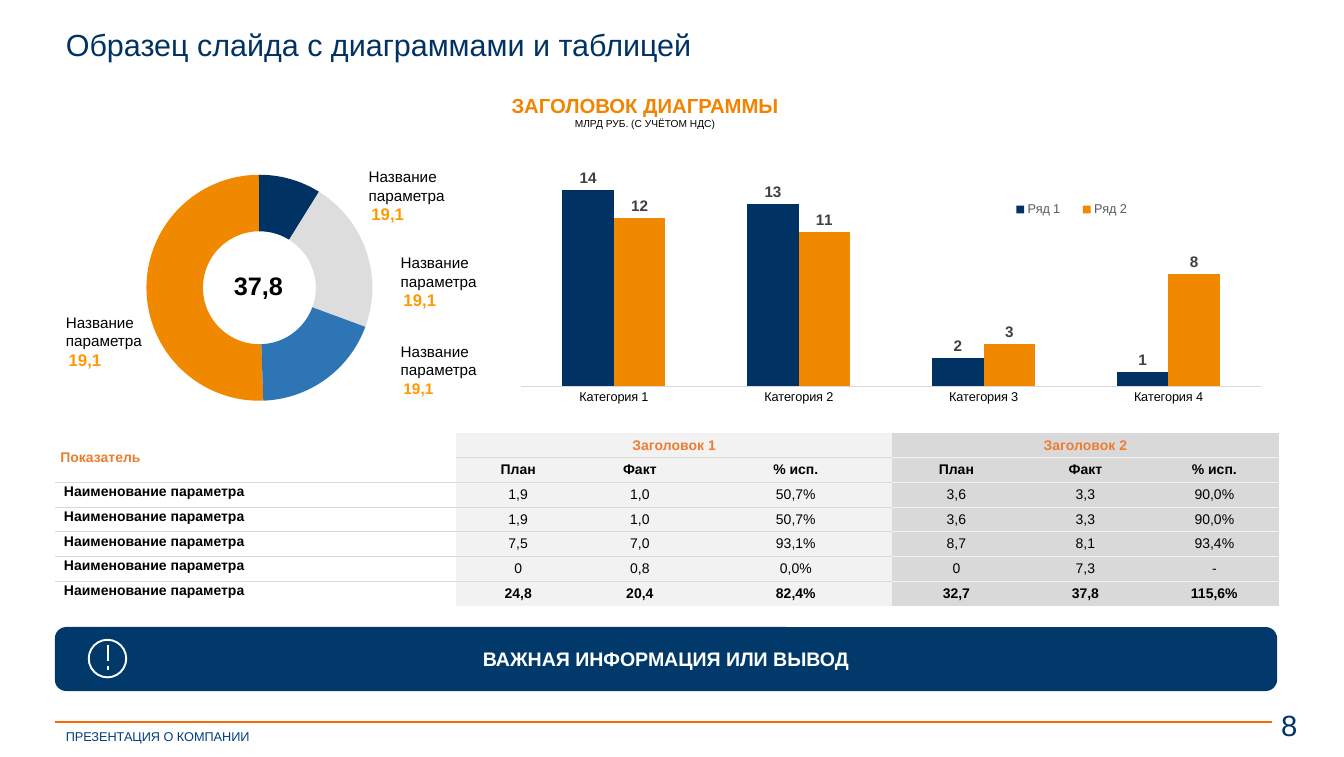
from lxml import etree
from pptx import Presentation
from pptx.chart.data import CategoryChartData
from pptx.dml.color import RGBColor
from pptx.enum.chart import XL_CHART_TYPE, XL_LABEL_POSITION, XL_LEGEND_POSITION, XL_TICK_MARK
from pptx.enum.shapes import MSO_CONNECTOR, MSO_SHAPE
from pptx.enum.text import MSO_ANCHOR, PP_ALIGN
from pptx.oxml.ns import qn
from pptx.util import Emu, Inches, Pt

LEFT, CENTER, RIGHT = PP_ALIGN.LEFT, PP_ALIGN.CENTER, PP_ALIGN.RIGHT
TOP, MIDDLE = MSO_ANCHOR.TOP, MSO_ANCHOR.MIDDLE
COLUMNS, DOUGHNUT = XL_CHART_TYPE.COLUMN_CLUSTERED, XL_CHART_TYPE.DOUGHNUT
STRAIGHT = MSO_CONNECTOR.STRAIGHT

NAVY = RGBColor(0x00, 0x32, 0x64)
BANNER_NAVY = RGBColor(0x00, 0x39, 0x6A)
FOOTER_NAVY = RGBColor(0x00, 0x3D, 0x80)
BLUE = RGBColor(0x2E, 0x75, 0xB6)
ORANGE = RGBColor(0xF0, 0x88, 0x00)
HEADING_ORANGE = RGBColor(0xF1, 0x84, 0x00)
VALUE_ORANGE = RGBColor(0xFF, 0x99, 0x00)
TABLE_ORANGE = RGBColor(0xED, 0x7D, 0x31)
RULE_ORANGE = RGBColor(0xFF, 0x66, 0x00)
SILVER = RGBColor(0xDD, 0xDD, 0xDD)
GREY = RGBColor(0xD9, 0xD9, 0xD9)
PALE = RGBColor(0xF2, 0xF2, 0xF2)
LABEL_GREY = RGBColor(0x40, 0x40, 0x40)
LEGEND_GREY = RGBColor(0x59, 0x59, 0x59)
BLACK = RGBColor(0x00, 0x00, 0x00)
WHITE = RGBColor(0xFF, 0xFF, 0xFF)

FONT = "Arial"
SLIDE_W, SLIDE_H = Inches(14.69), Inches(8.27)
MARGIN, CONTENT_W = 4.08, 90.95
NO_STYLE = "{2D5ABB26-0587-4C30-8999-92F81FD0307C}"

CATEGORIES = ["Категория 1", "Категория 2", "Категория 3", "Категория 4"]
BAR_SERIES = [("Ряд 1", (14, 13, 2, 1), NAVY), ("Ряд 2", (12, 11, 3, 8), ORANGE)]
SLICES = [(51, ORANGE), (9, NAVY), (22, SILVER), (19, BLUE)]
SLICE_LABELS = [(26.55, 21.4, 15.66, 13.2), (28.93, 32.77, 15.66, 13.2),
                (28.93, 44.5, 15.66, 12.1), (4.02, 40.63, 10.82, 13.2)]
COLUMN_WIDTHS = [4.39, 1.35, 1.31, 2.1, 1.41, 1.41, 1.41]
PARAMETER = "Наименование параметра"
TABLE_ROWS = [
    ["Показатель", "Заголовок 1", "", "", "Заголовок 2", "", ""],
    ["", *["План", "Факт", "% исп."] * 2],
    [PARAMETER, "1,9", "1,0", "50,7%", "3,6", "3,3", "90,0%"],
    [PARAMETER, "1,9", "1,0", "50,7%", "3,6", "3,3", "90,0%"],
    [PARAMETER, "7,5", "7,0", "93,1%", "8,7", "8,1", "93,4%"],
    [PARAMETER, "0", "0,8", "0,0%", "0", "7,3", "-"],
    [PARAMETER, "24,8", "20,4", "82,4%", "32,7", "37,8", "115,6%"],
]


def area(*shares):
    """Turn x, y, w, h in percent of the slide into lengths."""
    return [Emu(round(share * side / 100)) for share, side in zip(shares, (SLIDE_W, SLIDE_H) * 2)]


def style_font(font, size, color, bold=False):
    font.name, font.size, font.bold = FONT, Pt(size), bold
    font.color.rgb = color


def write(paragraph, text, size, color, bold=False, align=LEFT):
    paragraph.alignment = align
    run = paragraph.add_run()
    run.text = text
    style_font(run.font, size, color, bold)


def set_margins(target, across, down):
    target.margin_left = target.margin_right = Inches(across)
    target.margin_top = target.margin_bottom = Inches(down)


def add_text(slide, place, lines, align=LEFT, margins=(0.12, 0.06), wrap=True):
    """Add a text box; each line is (text, size, color, bold)."""
    frame = slide.shapes.add_textbox(*area(*place)).text_frame
    frame.word_wrap = wrap
    set_margins(frame, *margins)
    for index, line in enumerate(lines):
        paragraph = frame.add_paragraph() if index else frame.paragraphs[0]
        write(paragraph, *line, align=align)
    return frame


def add_rule(slide, x1, y1, x2, y2, color, width):
    rule = slide.shapes.add_connector(STRAIGHT, *area(x1, y1, x2, y2))
    rule.line.color.rgb, rule.line.width = color, Pt(width)
    etree.SubElement(rule._element.spPr, qn("a:effectLst"))


def set_layout(parent, index, x, y, w, h, inner=False):
    """Fix a chart part at shares of the chart's size."""
    for old in parent.findall(qn("c:layout")):
        parent.remove(old)
    layout = etree.Element(qn("c:layout"))
    manual = etree.SubElement(layout, qn("c:manualLayout"))
    settings = [("layoutTarget", "inner")] if inner else []
    settings += [("xMode", "edge"), ("yMode", "edge"), ("x", x), ("y", y), ("w", w), ("h", h)]
    for tag, value in settings:
        etree.SubElement(manual, qn(f"c:{tag}")).set("val", str(value))
    parent.insert(index, layout)


def add_chart(slide, kind, place, categories, series, plot_layout):
    data = CategoryChartData()
    data.categories = categories
    for name, values in series:
        data.add_series(name, values)
    chart = slide.shapes.add_chart(kind, *area(*place), data).chart
    chart.has_title = chart.has_legend = False
    style_font(chart.font, 10, BLACK)
    set_layout(chart._chartSpace.chart.plotArea, 0, *plot_layout, inner=True)
    return chart


def add_bars(slide):
    chart = add_chart(slide, COLUMNS, (37.3, 14.75, 57.73, 46.19), CATEGORIES,
                      [entry[:2] for entry in BAR_SERIES], (0.026, 0.144, 0.953, 0.642))
    plot = chart.plots[0]
    plot.gap_width, plot.overlap, plot.vary_by_categories = 159, 0, False
    for series, (_, _, color) in zip(plot.series, BAR_SERIES):
        series.format.fill.solid()
        series.format.fill.fore_color.rgb = color
    plot.has_data_labels = True
    plot.data_labels.show_value = True
    plot.data_labels.position = XL_LABEL_POSITION.OUTSIDE_END
    style_font(plot.data_labels.font, 12, LABEL_GREY, True)
    values, names = chart.value_axis, chart.category_axis
    values.minimum_scale, values.maximum_scale = 0, 16
    values.has_major_gridlines = values.visible = False
    names.major_tick_mark = XL_TICK_MARK.NONE
    names.format.line.color.rgb, names.format.line.width = GREY, Pt(0.75)
    style_font(names.tick_labels.font, 10, BLACK)
    chart.has_legend = True
    chart.legend.position = XL_LEGEND_POSITION.BOTTOM
    chart.legend.include_in_layout = False
    style_font(chart.legend.font, 10, LEGEND_GREY)
    set_layout(chart.legend._element, 1, 0.64, 0.24, 0.19, 0.08)


def add_doughnut(slide):
    chart = add_chart(slide, DOUGHNUT, (4.02, 21.4, 30.57, 33.25), ["1", "2", "3", "4"],
                      [("Series 1", [value for value, _ in SLICES])], (0.225, 0.05, 0.55, 0.9))
    plot = chart.plots[0]
    plot.has_data_labels = False
    plot._element.find(qn("c:firstSliceAng")).set("val", "178")
    for index, (_, color) in enumerate(SLICES):
        look = plot.series[0].points[index].format
        look.fill.solid()
        look.fill.fore_color.rgb = color
        look.line.fill.background()
    add_text(slide, (13.41, 34.95, 11.64, 5.56), [("37,8", 19.9, BLACK, True)], CENTER, (0.13, 0.06))
    for x, y, width, value_size in SLICE_LABELS:
        label = add_text(slide, (x, y, width, 9.07), [
            ("Название", 12, BLACK), ("параметра", 12, BLACK),
            ("19,1", value_size, VALUE_ORANGE, True)], margins=(0.13, 0.06))
        label.paragraphs[-1]._p.get_or_add_pPr().set("marL", str(Inches(0.03)))


def add_border(cell, side, color):
    line = etree.SubElement(cell._tc.get_or_add_tcPr(), qn(f"a:{side}"), w=str(Pt(0.5)))
    fill = etree.SubElement(line, qn("a:solidFill"))
    etree.SubElement(fill, qn("a:srgbClr"), val=str(color))


def fill_cell(cell, row, column, text):
    last = len(TABLE_ROWS) - 1
    border = PALE if column > 3 else GREY
    if row > 0:
        add_border(cell, "lnT", border)
    if row < last:
        add_border(cell, "lnB", border)
    if column:
        cell.fill.solid()
        cell.fill.fore_color.rgb = GREY if column > 3 else PALE
    else:
        cell.fill.background()
    is_parameter = column == 0 and row > 1
    cell.vertical_anchor = TOP if is_parameter else MIDDLE
    set_margins(cell, *((0.1, 0.05) if is_parameter else (0.06, 0.04)))
    paragraph = cell.text_frame.paragraphs[0]
    if is_parameter:
        paragraph.line_spacing = 0.8
    paragraph.font.size = Pt(11)
    if text:
        bold = column == 0 or row in (0, 1, last)
        write(paragraph, text, 11, BLACK if row else TABLE_ORANGE, bold, CENTER if column else LEFT)


def add_results_table(slide):
    table = slide.shapes.add_table(len(TABLE_ROWS), len(COLUMN_WIDTHS),
                                   *area(MARGIN, 57.19, CONTENT_W, 22.85)).table
    table.first_row = table.horz_banding = False
    table._tbl.tblPr.find(qn("a:tableStyleId")).text = NO_STYLE
    for column, width in zip(table.columns, COLUMN_WIDTHS):
        column.width = Inches(width)
    for row, texts in enumerate(TABLE_ROWS):
        for column, text in enumerate(texts):
            fill_cell(table.cell(row, column), row, column, text)
    for first, end in (((0, 0), (1, 0)), ((0, 1), (0, 3)), ((0, 4), (0, 6))):
        table.cell(*first).merge(table.cell(*end))


def add_banner(slide):
    banner = slide.shapes.add_shape(MSO_SHAPE.ROUNDED_RECTANGLE, *area(MARGIN, 82.83, CONTENT_W, 8.46))
    banner.adjustments[0] = 0.18
    banner.shadow.inherit = False
    banner.fill.solid()
    banner.fill.fore_color.rgb = BANNER_NAVY
    banner.line.fill.background()
    banner.text_frame.vertical_anchor = MIDDLE
    set_margins(banner.text_frame, 0.22, 0.06)
    write(banner.text_frame.paragraphs[0], "ВАЖНАЯ ИНФОРМАЦИЯ ИЛИ ВЫВОД", 15.4, WHITE, True, CENTER)
    ring = slide.shapes.add_shape(MSO_SHAPE.OVAL, *area(6.6, 84.52, 2.79, 4.96))
    ring.shadow.inherit = False
    ring.fill.background()
    ring.line.color.rgb, ring.line.width = WHITE, Pt(1.5)
    for start, end in ((85.25, 87.3), (88.03, 88.51)):
        add_rule(slide, 8.03, start, 8.03, end, WHITE, 1)


def main():
    deck = Presentation()
    deck.slide_width, deck.slide_height = SLIDE_W, SLIDE_H
    slide = deck.slides.add_slide(deck.slide_layouts[5])
    title = slide.shapes.title
    title.left, title.top, title.width, title.height = area(MARGIN, 3.39, 85.7, 5.44)
    title.text_frame.vertical_anchor = MIDDLE
    set_margins(title.text_frame, 0.12, 0.06)
    title.text_frame.paragraphs[0].line_spacing = 0.9
    write(title.text_frame.paragraphs[0], "Образец слайда с диаграммами и таблицей", 24, NAVY)
    add_bars(slide)
    add_doughnut(slide)
    add_text(slide, (4.02, 11.73, 87.95, 6.29), [
        ("ЗАГОЛОВОК ДИАГРАММЫ", 16, HEADING_ORANGE, True),
        ("МЛРД РУБ. (С УЧЁТОМ НДС)", 8, BLACK)], CENTER, (0.1, 0.05))
    add_results_table(slide)
    add_banner(slide)
    add_rule(slide, MARGIN, 95.4, 94.62, 95.4, RULE_ORANGE, 1.5)
    add_text(slide, (MARGIN, 95.53, 15.66, 3.51), [("ПРЕЗЕНТАЦИЯ О КОМПАНИИ", 10, FOOTER_NAVY)], wrap=False)
    add_text(slide, (80.4, 92.74, 16.95, 6.17), [("8", 23, NAVY)], RIGHT)
    deck.save("out.pptx")


if __name__ == "__main__":
    main()
